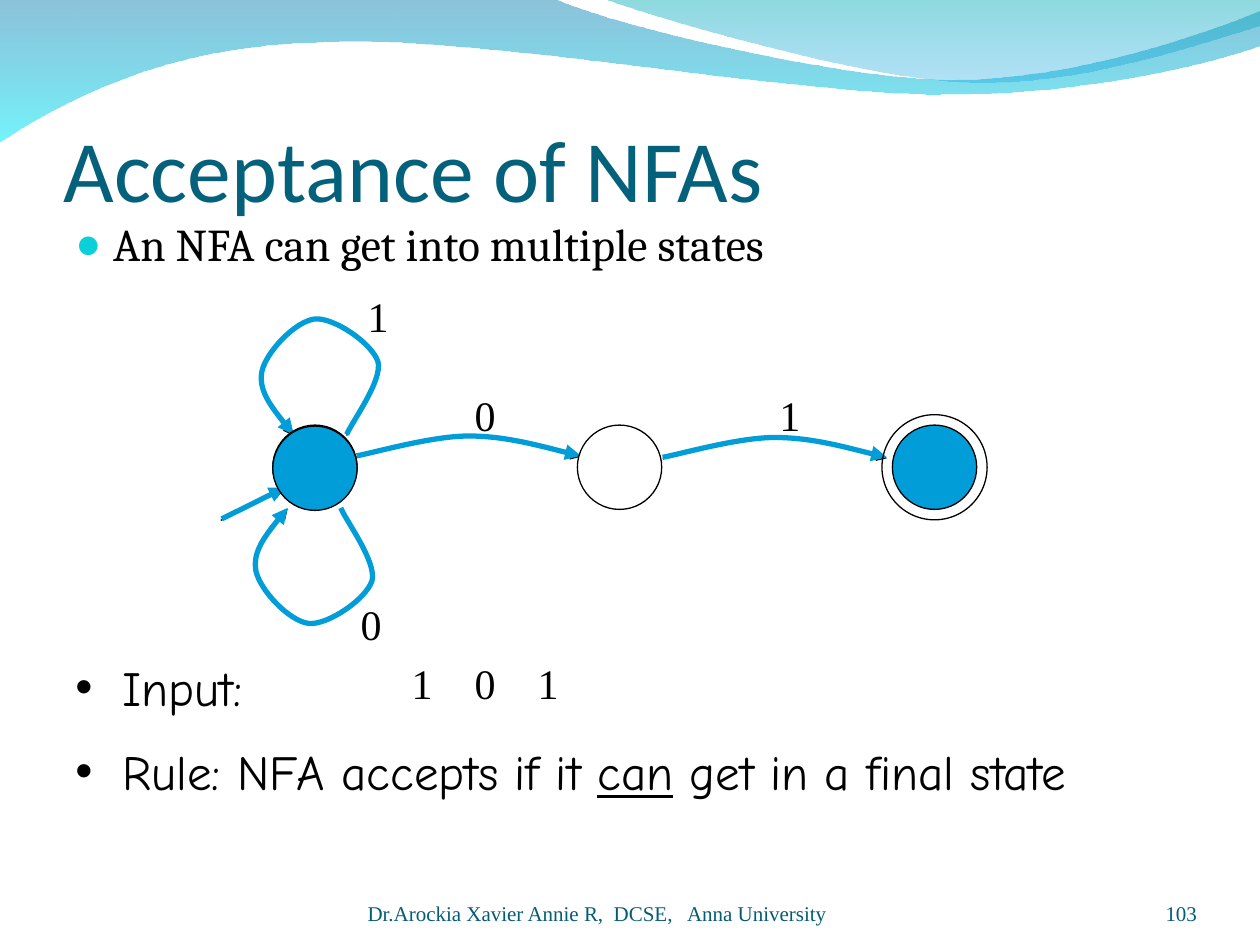
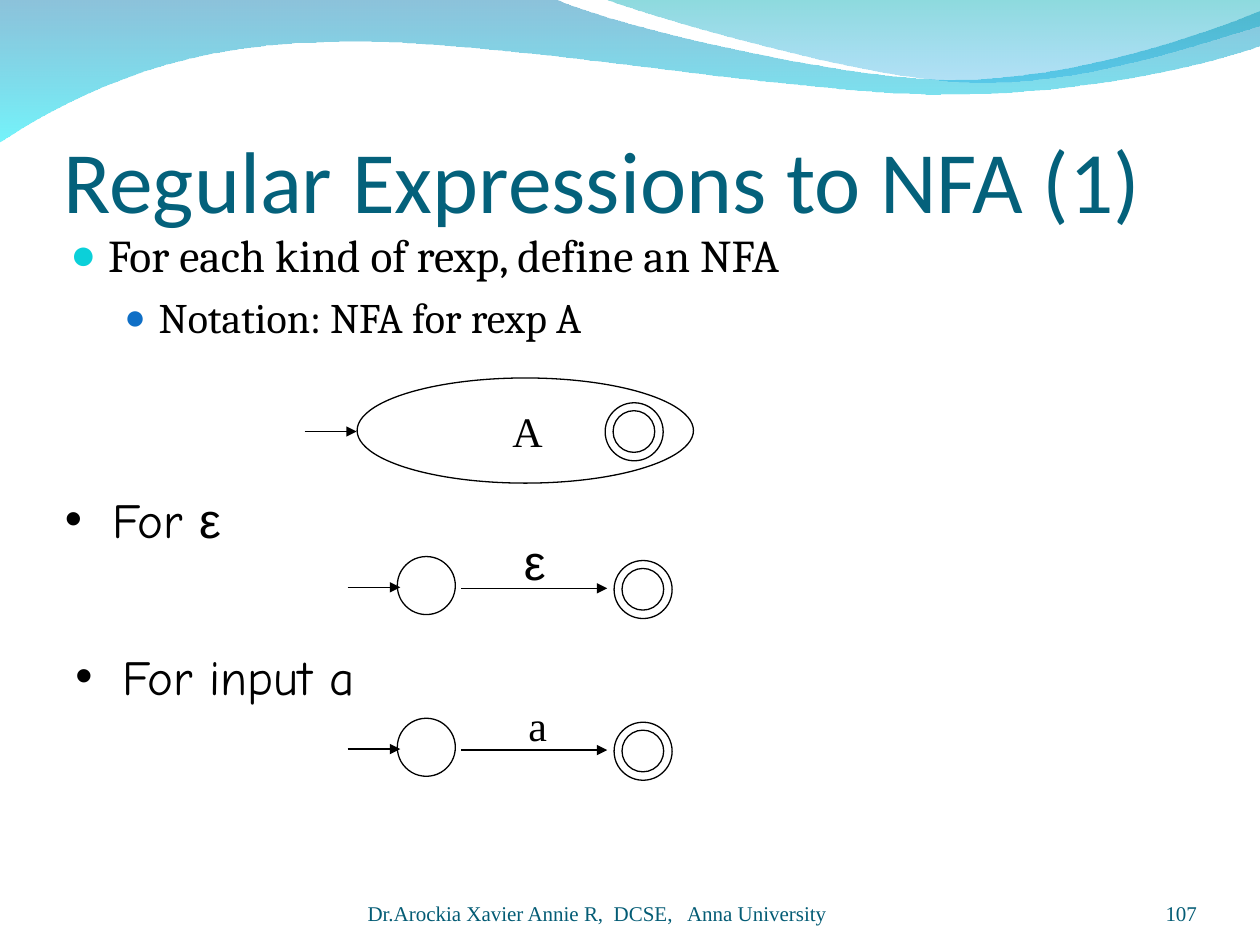
from lxml.etree import SubElement
from pptx import Presentation
from pptx.dml.color import RGBColor
from pptx.enum.shapes import MSO_CONNECTOR, MSO_SHAPE
from pptx.enum.text import MSO_ANCHOR, PP_ALIGN
from pptx.oxml.ns import qn
from pptx.util import Cm, Pt

BLACK, WHITE, BLUE = "000000", "FFFFFF", "009DD9"
TITLE, FOOTER = "04617B", "045C75"
SERIF, BODY, COMIC = "Times New Roman", "Cambria", "Comic Neue"
# Bullets: character, colour, size in percent, left indent and hanging indent in cm
LEVEL_1 = ("●", "0BD0D9", 95, 0.76, 0.76)
LEVEL_2 = ("●", "0F6FC6", 85, 1.78, 0.69)
DOT = ("•", BLACK, 100, 0.95, 0.95)

# Curves: a start point, then one point per straight line, three per Bézier
WAVES = [
    ([(0, -0.02), [(11.18, -0.02)],
      [(12.09, 0.43), (16.87, 1.6), (19.25, 1.6)],
      [(21.67, 1.6), (24.33, 0.66), (25.4, 0.23)],
      [(25.43, 0.91)],
      [(24.97, 1.12), (22.1, 1.93), (18.95, 1.9)],
      [(15.8, 1.9), (9.7, 0.71), (6.53, 0.86)],
      [(3.28, 0.89), (1.17, 2.11), (-0.02, 2.87)]],
     [("0079AF", 45), ("00EBF8", 55)]),
    ([(12.17, -0.02),
      [(12.93, 0.28), (17.32, 1.57), (19.53, 1.65)],
      [(21.74, 1.75), (24.41, 0.81), (25.4, 0.53)],
      [(25.4, 0)]],
     [("00ADB6", 45), ("009BE5", 30)]),
]
LOOP = [(6.99, 8.76),
        [(7.09, 8.51), (7.72, 7.67), (7.62, 7.29)],
        [(7.49, 6.91), (6.73, 6.4), (6.35, 6.43)],
        [(5.94, 6.48), (5.36, 7.11), (5.28, 7.49)],
        [(5.21, 7.87), (5.56, 8.33), (5.92, 8.76)]]
HOP = [(7.19, 9.19),
       [(7.57, 9.12), (8.71, 8.79), (9.45, 8.79)],
       [(10.21, 8.79), (11.25, 9.09), (11.71, 9.19)]]
LOOP_BELOW = [(6.87, 10.24)] + [[(x - 0.12, 19 - y) for x, y in seg] for seg in LOOP[1:]]
HOP_RIGHT = [(13.36, 9.22)] + [[(x + 6.17, y + 0.03) for x, y in seg] for seg in HOP[1:]]
TRANSITIONS = [LOOP, LOOP_BELOW, HOP, HOP_RIGHT]


def add_text(s, box, paragraphs, font, size, colour=BLACK, bullets=(), wrap=True):
    """Add a text box; each paragraph is a list of run texts."""
    tf = s.shapes.add_textbox(*[Cm(v) for v in box]).text_frame
    tf.word_wrap = wrap
    for i, texts in enumerate(paragraphs):
        p = tf.paragraphs[0] if i == 0 else tf.add_paragraph()
        if bullets:
            char, tint, percent, left, hang = bullets[i]
            pPr = p._p.get_or_add_pPr()
            pPr.set("marL", str(Cm(left)))
            pPr.set("indent", str(-Cm(hang)))
            SubElement(SubElement(pPr, qn("a:buClr")), qn("a:srgbClr"), val=tint)
            SubElement(pPr, qn("a:buSzPct"), val=str(percent * 1000))
            SubElement(pPr, qn("a:buFont"), typeface="Arial")
            SubElement(pPr, qn("a:buChar"), char=char)
        for text in texts:
            r = p.add_run()
            r.text = text
            r.font.name, r.font.size = font, Pt(size)
            r.font.color.rgb = RGBColor.from_string(colour)
    return tf


def draw_line(sp, colour=BLACK, width=0.75, arrow=False):
    """Style the line of a shape or connector and drop its shadow."""
    sp.line.color.rgb = RGBColor.from_string(colour)
    sp.line.width = Pt(width)
    if arrow:
        SubElement(sp.line._get_or_add_ln(), qn("a:tailEnd"), type="triangle")
    SubElement(sp._element.spPr, qn("a:effectLst"))


prs = Presentation()
prs.slide_width, prs.slide_height = Cm(25.4), Cm(19.05)

# What the slides share, and the curved transitions
slides = []
for title, number, title_top, transitions in [
    ("Acceptance of NFAs", "103", 1.25, TRANSITIONS),
    ("Regular Expressions to NFA (1)", "107", 1.47, []),
]:
    s = prs.slides.add_slide(prs.slide_layouts[6])
    slides.append(s)
    curves = [(curve, stops, None, 0, 0) for curve, stops in WAVES]
    curves += [(curve, None, BLACK, 0.75, 0.02) for curve in transitions]
    curves += [(curve, None, BLUE, 3, 0) for curve in transitions]
    for (start, *segments), stops, colour, width, shift in curves:
        points = [(Cm(x), Cm(y + shift)) for x, y in [start, *sum(segments, [])]]
        fb = s.shapes.build_freeform(*points[0], scale=1.0)
        fb.add_line_segments(points[1:], close=bool(stops))
        sp = fb.convert_to_shape()
        # Merge the three points of each Bézier into one curve element
        lines = iter(list(sp._element.iter(qn("a:lnTo"))))
        for seg in segments:
            first, *others = [next(lines) for _ in seg]
            if others:
                first.tag = qn("a:cubicBezTo")
            for other in others:
                first.append(other[0])
                other.getparent().remove(other)
        if not stops:
            sp.fill.background()
            draw_line(sp, colour, width, arrow=True)
            continue
        sp.shadow.inherit = False
        sp.line.fill.background()
        sp.fill.gradient()
        sp.fill.gradient_angle = 270
        for stop, (tint, opacity) in zip(sp.fill.gradient_stops, stops):
            stop.color.rgb = RGBColor.from_string(tint)
            srgb = stop._gs.find(qn("a:srgbClr"))
            SubElement(srgb, qn("a:alpha"), val=str(opacity * 1000))

    footer = "Dr.Arockia Xavier Annie R,  DCSE,   Anna University"
    for text, box, font, size, colour, inset, align in [
        (title, (1.28, title_top, 22.86, 3.18), "Calibri", 50, TITLE, 0.13, PP_ALIGN.LEFT),
        (footer, (7.41, 17.64, 9.31, 1.02), SERIF, 12, FOOTER, 0, PP_ALIGN.LEFT),
        (number, (22.01, 17.64, 2.12, 1.02), SERIF, 12, FOOTER, 0, PP_ALIGN.RIGHT),
    ]:
        tf = add_text(s, box, [[text]], font, size, colour)
        tf.margin_left = tf.margin_right = tf.margin_bottom = 0
        tf.margin_top = Cm(inset)
        tf.vertical_anchor = MSO_ANCHOR.BOTTOM
        tf.paragraphs[0].alignment = align

# Text
acceptance, regular = slides
add_text(acceptance, (1.27, 4.24, 23.06, 2.34), [["An NFA can get into multiple states"]],
         BODY, 26, bullets=[LEVEL_1])
add_text(acceptance, (1.27, 13.13, 4.65, 1.47), [["Input:"]], COMIC, 28, bullets=[DOT])
tf = add_text(acceptance, (1.27, 14.82, 22.86, 1.47),
              [["Rule: NFA accepts if it ", "can", " get in a final state"]],
              COMIC, 28, bullets=[DOT])
tf.paragraphs[0].runs[1].font.underline = True

tf = add_text(regular, (1.17, 4.45, 23.06, 2.74),
              [["For each kind of rexp, define an NFA"], ["Notation: NFA for rexp A"]],
              BODY, 26, bullets=[LEVEL_1, LEVEL_2])
p = tf.paragraphs[1]
p.level = 1
p.space_before = Pt(6)
p.runs[0].font.size = Pt(24)
tf = add_text(regular, (1.06, 9.74, 23.06, 1.7), [["For ", "ε"]], COMIC, 28, bullets=[DOT])
tf.paragraphs[0].runs[1].font.name = "Arial"
add_text(regular, (1.27, 12.91, 23.06, 1.7), [["For input a"]], COMIC, 28, bullets=[DOT])

# Arrows, states and labels of the automata
ROWS = [0, 3.26]
arrows = [(acceptance, 4.45, 10.49, 5.72, 9.86, BLACK, 0.75),
          (acceptance, 4.47, 10.46, 5.74, 9.83, BLUE, 3),
          (regular, 6.14, 8.7, 7.19, 8.7, BLACK, 0.75)]
states = [(acceptance, 17.78, 8.36, 2.12, 2.12, None),
          (acceptance, 17.99, 8.57, 1.7, 1.7, BLUE),
          (acceptance, 5.5, 8.57, 1.7, 1.7, None),
          (acceptance, 5.5, 8.59, 1.7, 1.7, BLUE),
          (acceptance, 11.64, 8.57, 1.7, 1.7, WHITE),
          (regular, 7.2, 7.62, 6.78, 2.12, None)]
finals = [(12.2, 8.12)] + [(12.38, 11.3 + dy) for dy in ROWS]
for x, y in finals:
    states += [(regular, x, y, 1.17, 1.17, None),
               (regular, x + 0.16, y + 0.16, 0.84, 0.84, None)]
for dy in ROWS:
    states.append((regular, 8.01, 11.22 + dy, 1.17, 1.17, None))
    arrows += [(regular, 7.01, 11.84 + dy, 8.07, 11.84 + dy, BLACK, 0.75),
               (regular, 9.3, 11.86 + dy, 12.24, 11.86 + dy, BLACK, 0.75)]

for s, x1, y1, x2, y2, colour, width in arrows:
    c = s.shapes.add_connector(MSO_CONNECTOR.STRAIGHT, Cm(x1), Cm(y1), Cm(x2), Cm(y2))
    draw_line(c, colour, width, arrow=True)

for s, x, y, w, h, fill in states:
    sp = s.shapes.add_shape(MSO_SHAPE.OVAL, Cm(x), Cm(y), Cm(w), Cm(h))
    if fill:
        sp.fill.solid()
        sp.fill.fore_color.rgb = RGBColor.from_string(fill)
    else:
        sp.fill.background()
    draw_line(sp)

labels = [(acceptance, "1", 7.16, 5.74), (acceptance, "0", 9.32, 7.72),
          (acceptance, "1", 15.46, 7.72), (acceptance, "0", 7.02, 11.95),
          (regular, "A", 10.08, 8.05), (regular, "a", 10.4, 13.97)]
labels += [(acceptance, digit, 8.05 + 1.27 * i, 13.13) for i, digit in enumerate("101")]
for s, text, x, y in labels:
    width = 1.12 if text == "A" else 0.92
    add_text(s, (x, y, width, 1.27), [[text]], SERIF, 24, wrap=False)
add_text(regular, (10.31, 10.59, 0.94, 1.45), [["ε"]], "Arial", 28, wrap=False)

prs.save("out.pptx")
